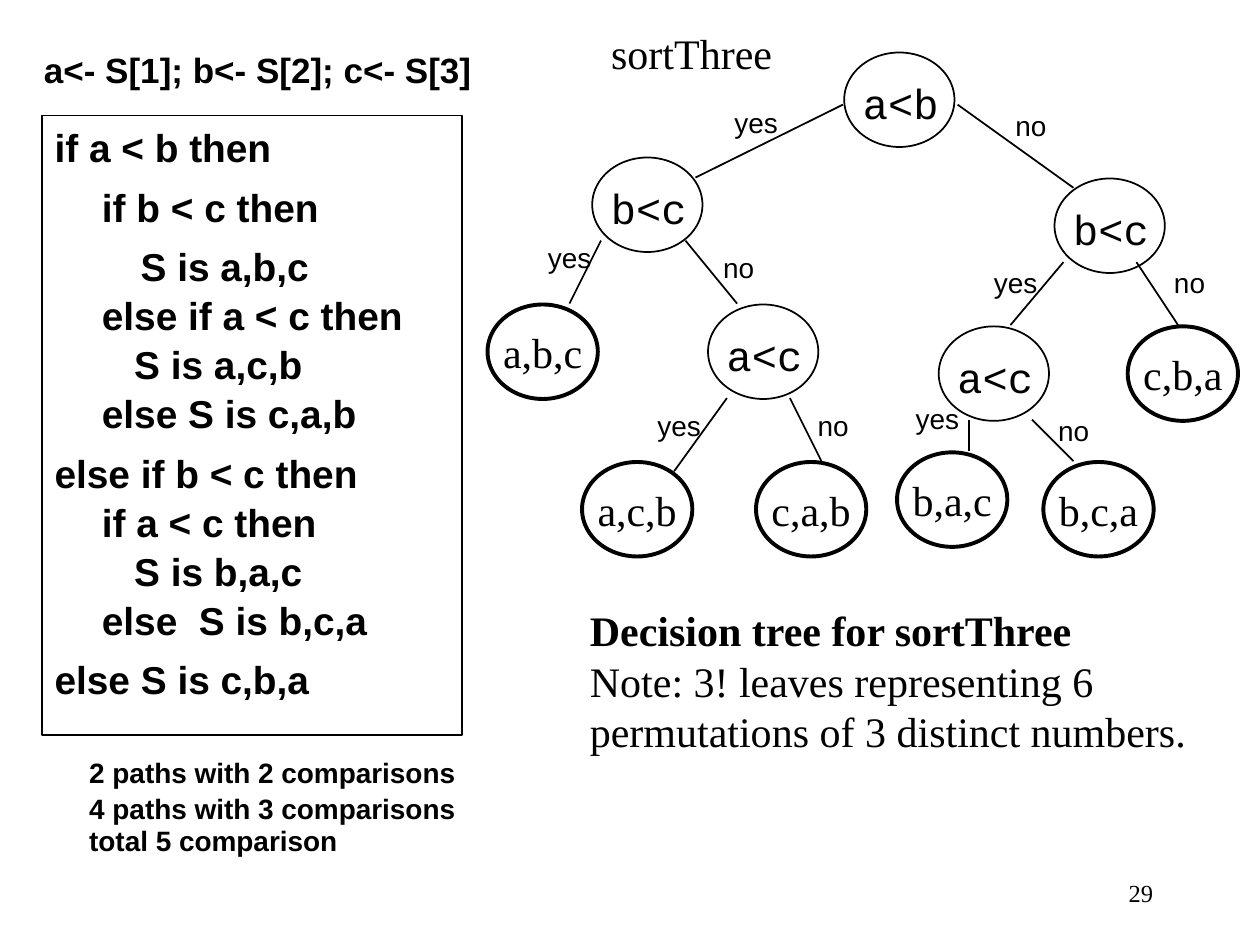
from dataclasses import dataclass
from typing import Optional

from lxml.etree import SubElement
from pptx import Presentation
from pptx.dml.color import RGBColor
from pptx.enum.shapes import MSO_CONNECTOR as Connector, MSO_SHAPE as Preset
from pptx.enum.text import MSO_ANCHOR as Anchor, MSO_AUTO_SIZE as AutoSize, PP_ALIGN as Align
from pptx.oxml.ns import qn
from pptx.util import Pt

COLORS = {"ink": "000000", "paper": "FFFFFF"}
INK = RGBColor.from_string(COLORS["ink"])
NODE_WIDTH, NODE_HEIGHT = 63, 54


@dataclass
class Style:
    size: float
    font: str
    bold: bool = False
    align: Align = Align.LEFT
    anchor: Anchor = Anchor.TOP
    wrap: bool = False


@dataclass
class Node:
    text: str
    left: float
    top: float


@dataclass
class Branch:
    start: tuple[float, float]
    end: tuple[float, float]
    answer: str
    left: float
    top: float


@dataclass
class Line:
    text: str
    spacing: Optional[float] = None
    before: float = 0
    bold: Optional[bool] = None


CODE = Style(22.2, "Arial", bold=True, wrap=True)
TEST = Style(24, "Courier New", wrap=True)
LEAF = Style(24, "Times New Roman", align=Align.CENTER, anchor=Anchor.MIDDLE)
ANSWER = Style(16, "Arial")
PROSE = Style(24, "Times New Roman")
SETUP = Style(20, "Arial", bold=True)
COUNTS = Style(16, "Arial", bold=True, wrap=True)
NUMBER = Style(14, "Times New Roman", align=Align.RIGHT, anchor=Anchor.MIDDLE, wrap=True)

TESTS = [
    Node("a<b", 482.4, 30),
    Node("b<c", 338.4, 90),
    Node("b<c", 602.6, 102),
    Node("a<c", 404.6, 174),
    Node("a<c", 536.4, 186.5),
]
LEAVES = [
    Node("a,b,c", 278.6, 174),
    Node("a,c,b", 332.6, 264),
    Node("c,a,b", 432, 264),
    Node("c,b,a", 644.4, 186.5),
    Node("b,a,c", 512.6, 258.5),
    Node("b,c,a", 596.2, 264),
]
BRANCHES = [
    Branch((481.7, 59.8), (397.4, 101.5), "yes", 412.6, 56.9),
    Branch((547.2, 59.8), (613.4, 107.3), "no", 573.1, 58.3),
    Branch((343.4, 137.5), (325.4, 173.5), "yes", 306, 133.9),
    Branch((391.7, 137.5), (421.2, 173.5), "no", 406.1, 139.7),
    Branch((607.7, 149.8), (577.4, 185.8), "yes", 560.9, 148.3),
    Branch((649.4, 149.8), (673.2, 185.8), "no", 663.8, 148.3),
    Branch((415.4, 227.5), (385.2, 269.3), "yes", 368.6, 229.7),
    Branch((451.4, 227.5), (469.4, 263.5), "no", 460.1, 229.7),
    Branch((553.7, 239.8), (553.7, 257.8), "yes", 516.2, 226.1),
    Branch((589.7, 239.8), (613.4, 263.5), "no", 597.6, 232.6),
]
ALGORITHM = [
    "if a < b then",
    "\tif b < c then",
    "        S is a,b,c\nelse if a < c then\n   S is a,c,b\nelse S is c,a,b",
    "else if b < c then\nif a < c then\n   S is b,a,c\nelse  S is b,c,a",
    "else S is c,b,a",
]


def write(shape, lines: list[Line], style: Style, hanging: float = 0) -> None:
    frame = shape.text_frame
    frame.auto_size = AutoSize.NONE
    frame.word_wrap = style.wrap
    frame.vertical_anchor = style.anchor
    frame.margin_left = frame.margin_right = Pt(7.2)
    frame.margin_top = frame.margin_bottom = Pt(3.6)
    for index, line in enumerate(lines):
        paragraph = frame.add_paragraph() if index else frame.paragraphs[0]
        properties = paragraph._p.get_or_add_pPr()
        properties.set("marL", str(Pt(hanging)))
        properties.set("indent", str(-Pt(hanging)))
        SubElement(properties, qn("a:buNone"))
        paragraph.alignment = style.align
        paragraph.space_before = Pt(line.before)
        if line.spacing:
            paragraph.line_spacing = line.spacing
        for row, text in enumerate(line.text.split("\n")):
            if row:
                paragraph.add_line_break()
            run = paragraph.add_run()
            run.text = text
            run.font.name = style.font
            run.font.size = Pt(style.size)
            run.font.bold = style.bold if line.bold is None else line.bold
            run.font.color.rgb = INK


def place(shape, left: float, top: float, width: float, height: float) -> None:
    shape.left, shape.top = Pt(left), Pt(top)
    shape.width, shape.height = Pt(width), Pt(height)


def add_text(slide, left: float, top: float, width: float, height: float,
             lines: list[Line], style: Style) -> None:
    box = slide.shapes.add_textbox(Pt(left), Pt(top), Pt(width), Pt(height))
    write(box, lines, style)


def add_oval(slide, node: Node, weight: float):
    oval = slide.shapes.add_shape(
        Preset.OVAL, Pt(node.left), Pt(node.top), Pt(NODE_WIDTH), Pt(NODE_HEIGHT))
    oval.shadow.inherit = False
    oval.fill.background()
    oval.line.color.rgb = INK
    oval.line.width = Pt(weight)
    return oval


def add_test(slide, node: Node) -> None:
    add_oval(slide, node, 1)
    add_text(slide, node.left + 3.6, node.top + 10.8, 57.6, 36, [Line(node.text)], TEST)


def add_leaf(slide, node: Node) -> None:
    write(add_oval(slide, node, 2.25), [Line(node.text)], LEAF)


def add_branch(slide, branch: Branch) -> None:
    ends = [Pt(value) for value in branch.start + branch.end]
    edge = slide.shapes.add_connector(Connector.STRAIGHT, *ends)
    edge.line.color.rgb = INK
    edge.line.width = Pt(1)
    SubElement(edge._element.spPr, qn("a:effectLst"))
    width = 38.9 if branch.answer == "yes" else 31.7
    add_text(slide, branch.left, branch.top, width, 26.6, [Line(branch.answer)], ANSWER)


def main() -> None:
    deck = Presentation()
    deck.slide_width, deck.slide_height = Pt(720), Pt(540)
    slide = deck.slides.add_slide(deck.slide_layouts[1])
    slide.background.fill.solid()
    slide.background.fill.fore_color.rgb = RGBColor.from_string(COLORS["paper"])

    title, code = slide.shapes.title, slide.placeholders[1]
    place(title, 342, 12, 106.6, 36)
    write(title, [Line("sortThree")], PROSE)
    place(code, 24, 66, 240, 354)
    code.line.color.rgb = INK
    code.line.width = Pt(0.75)
    steps = [Line(step, 1.05, 6 if index else 0) for index, step in enumerate(ALGORITHM)]
    write(code, steps, CODE, hanging=27)

    for node in TESTS:
        add_test(slide, node)
    for node in LEAVES:
        add_leaf(slide, node)
    for branch in BRANCHES:
        add_branch(slide, branch)

    add_text(slide, 330, 342, 355, 93.6, [
        Line("Decision tree for sortThree", bold=True),
        Line("Note: 3! leaves representing 6"),
        Line("permutations of 3 distinct numbers."),
    ], PROSE)
    add_text(slide, 18, 24, 258.5, 31.7, [Line("a<- S[1]; b<- S[2]; c<- S[3]")], SETUP)
    add_text(slide, 43.9, 432, 244, 59.8, [
        Line("2 paths with 2 comparisons", 0.8),
        Line("4 paths with 3 comparisons", 0.5, 10),
        Line("total 5 comparison", 0.4, 10),
    ], COUNTS)
    add_text(slide, 516.2, 492, 149.8, 36, [Line("29")], NUMBER)
    deck.save("out.pptx")


if __name__ == "__main__":
    main()
